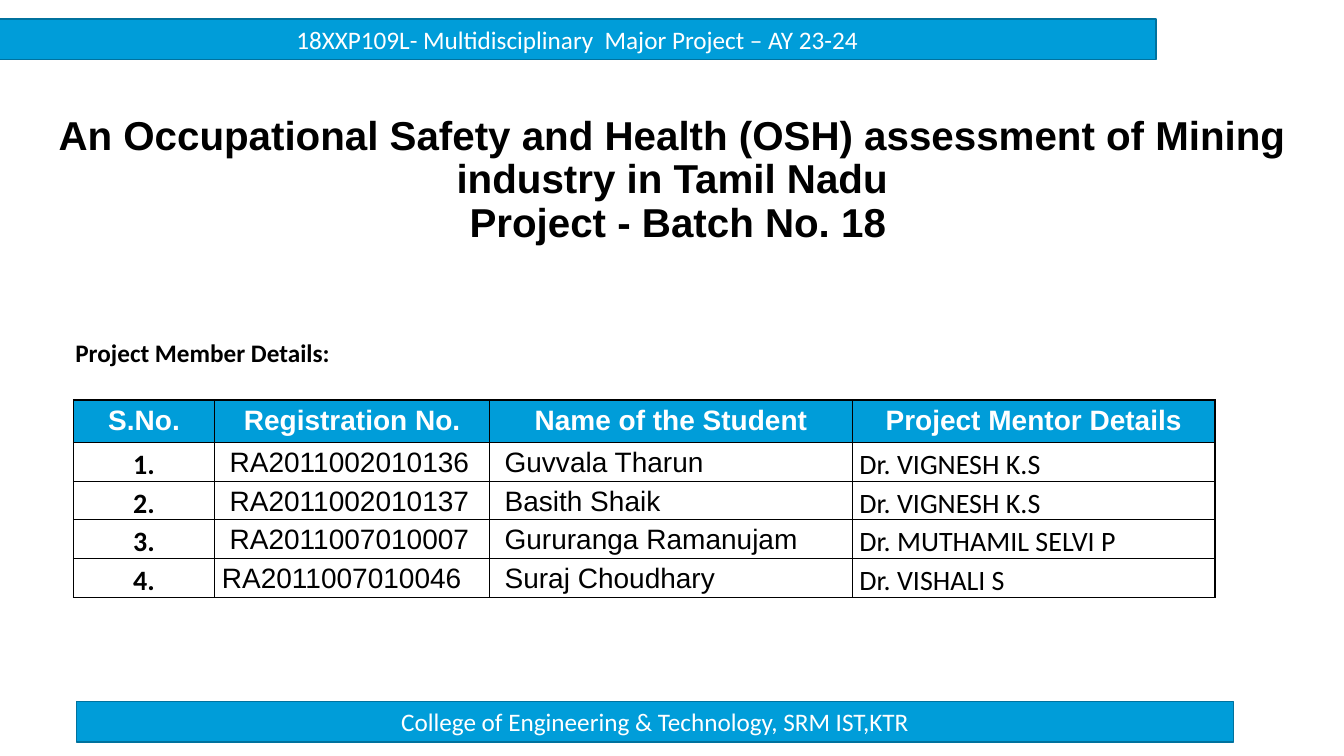
from lxml import etree
from pptx import Presentation
from pptx.dml.color import RGBColor
from pptx.enum.shapes import MSO_SHAPE
from pptx.enum.text import MSO_ANCHOR, PP_ALIGN
from pptx.oxml.ns import qn
from pptx.util import Cm, Pt

RECTANGLE = MSO_SHAPE.RECTANGLE
TOP, MIDDLE, BOTTOM = MSO_ANCHOR.TOP, MSO_ANCHOR.MIDDLE, MSO_ANCHOR.BOTTOM
LEFT, CENTER = PP_ALIGN.LEFT, PP_ALIGN.CENTER

COLORS = {"blue": "009DD9", "edge": "00729E", "white": "FFFFFF", "black": "000000"}
FORMATS = {
    "bar": {"name": "Calibri", "size": Pt(18), "bold": False},
    "title": {"name": "Arial", "size": Pt(28.8), "bold": True},
    "label": {"name": "Calibri", "size": Pt(18), "bold": True},
    "header": {"name": "Arial", "size": Pt(20), "bold": True},
    "number": {"name": "Calibri", "size": Pt(20), "bold": True},
    "student": {"name": "Arial", "size": Pt(20), "bold": False},
    "mentor": {"name": "Calibri", "size": Pt(20), "bold": False},
}
HEADINGS = ["S.No.", "Registration No.", "Name of the Student", "Project Mentor Details"]
MEMBERS = [
    [" RA2011002010136", " Guvvala Tharun", "Dr. VIGNESH K.S"],
    [" RA2011002010137", " Basith Shaik", "Dr. VIGNESH K.S"],
    [" RA2011007010007", " Gururanga Ramanujam", "Dr. MUTHAMIL SELVI P"],
    ["RA2011007010046", " Suraj Choudhary", "Dr. VISHALI S"],
]
COLUMN_FORMATS = ["number", "student", "student", "mentor"]
COLUMN_WIDTHS = [3.56, 6.93, 9.14, 9.14]
HEADER_HEIGHT, MEMBER_HEIGHT, TABLE_HEIGHT = 1.07, 0.61, 4.72


def rgb(color):
    return RGBColor.from_string(COLORS[color])


class SlideBuilder:
    def __init__(self, slide):
        self.slide = slide

    def fill_text(self, frame, text, style, color="black", align=LEFT, spacing=1.0):
        paragraph = frame.paragraphs[0]
        paragraph.text = text
        paragraph.alignment = align
        paragraph.line_spacing = spacing
        for run in paragraph.runs:
            for attribute, value in FORMATS[style].items():
                setattr(run.font, attribute, value)
            run.font.color.rgb = rgb(color)

    def bar(self, left, top, text):
        bar = self.slide.shapes.add_shape(RECTANGLE, Cm(left), Cm(top), Cm(29.16), Cm(1.02))
        bar.shadow.inherit = False
        bar.fill.solid()
        bar.fill.fore_color.rgb = rgb("blue")
        bar.line.color.rgb = rgb("edge")
        bar.line.width = Pt(1)
        bar.text_frame.vertical_anchor = MIDDLE
        self.fill_text(bar.text_frame, text, "bar", "white", CENTER)

    def text(self, left, top, width, height, text, style, anchor=TOP, align=LEFT, spacing=1.0):
        box = self.slide.shapes.add_textbox(Cm(left), Cm(top), Cm(width), Cm(height))
        box.text_frame.word_wrap = True
        box.text_frame.vertical_anchor = anchor
        self.fill_text(box.text_frame, text, style, align=align, spacing=spacing)

    def border(self, cell):
        properties = cell._tc.get_or_add_tcPr()
        for position, side in enumerate(("lnL", "lnR", "lnT", "lnB")):
            line = etree.Element(qn(f"a:{side}"), w=str(Pt(1)))
            fill = etree.SubElement(line, qn("a:solidFill"))
            etree.SubElement(fill, qn("a:srgbClr"), val=COLORS["black"])
            properties.insert(position, line)

    def cell(self, cell, text, style, margin, color, align):
        cell.margin_left = cell.margin_right = Cm(margin)
        cell.margin_top = cell.margin_bottom = 0
        self.border(cell)
        self.fill_text(cell.text_frame, text, style, color, align, 1.15)

    def member_table(self, left, top):
        frame = self.slide.shapes.add_table(
            len(MEMBERS) + 1, len(HEADINGS), Cm(left), Cm(top),
            Cm(sum(COLUMN_WIDTHS)), Cm(TABLE_HEIGHT))
        table = frame.table
        table.first_row = table.horz_banding = False
        for column, width in zip(table.columns, COLUMN_WIDTHS):
            column.width = Cm(width)
        for index, row in enumerate(table.rows):
            row.height = Cm(MEMBER_HEIGHT if index else HEADER_HEIGHT)
        frame.height = Cm(TABLE_HEIGHT)

        for column, heading in enumerate(HEADINGS):
            cell = table.cell(0, column)
            cell.fill.solid()
            cell.fill.fore_color.rgb = rgb("blue")
            self.cell(cell, heading, "header", 0.1, "white", CENTER)
        for number, member in enumerate(MEMBERS, 1):
            for column, text in enumerate([f"{number}.", *member]):
                cell = table.cell(number, column)
                cell.fill.background()
                align = LEFT if column else CENTER
                self.cell(cell, text, COLUMN_FORMATS[column], 0.18, "black", align)


def main():
    presentation = Presentation()
    presentation.slide_width, presentation.slide_height = Cm(33.87), Cm(19.05)
    builder = SlideBuilder(presentation.slides.add_slide(presentation.slide_layouts[6]))
    builder.bar(-0.03, 0.48, "18XXP109L- Multidisciplinary  Major Project – AY 23-24")
    builder.bar(1.93, 17.68, "College of Engineering & Technology, SRM IST,KTR")
    builder.text(
        0.56, 2.41, 32.77, 3.91,
        "An Occupational Safety and Health (OSH) assessment of Mining industry in Tamil Nadu"
        "\n Project - Batch No. 18",
        "title", BOTTOM, CENTER, 0.9)
    builder.member_table(1.85, 10.08)
    builder.text(1.65, 8.26, 6.99, 1.14, "Project Member Details:", "label", spacing=1.15)
    presentation.save("out.pptx")


if __name__ == "__main__":
    main()
